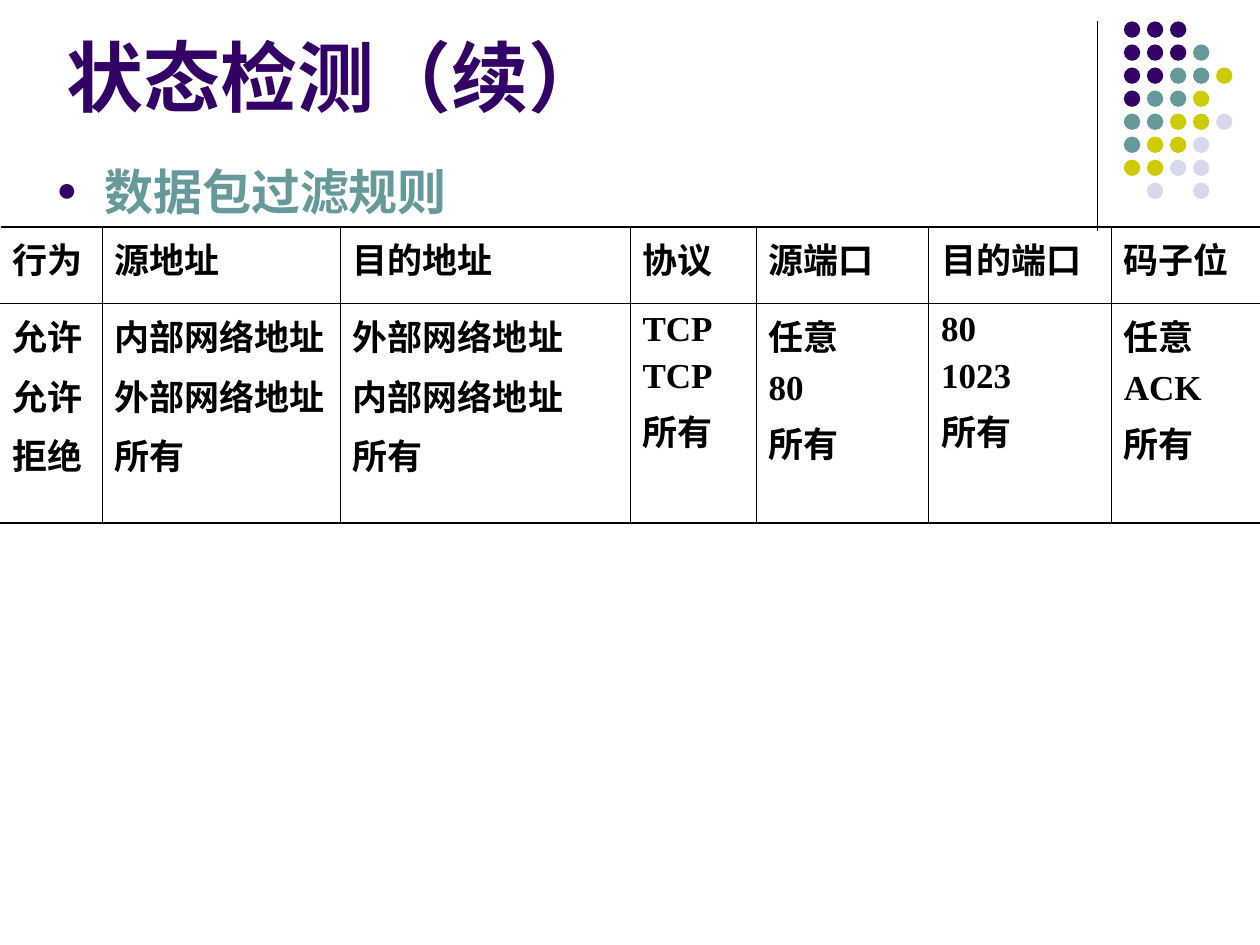
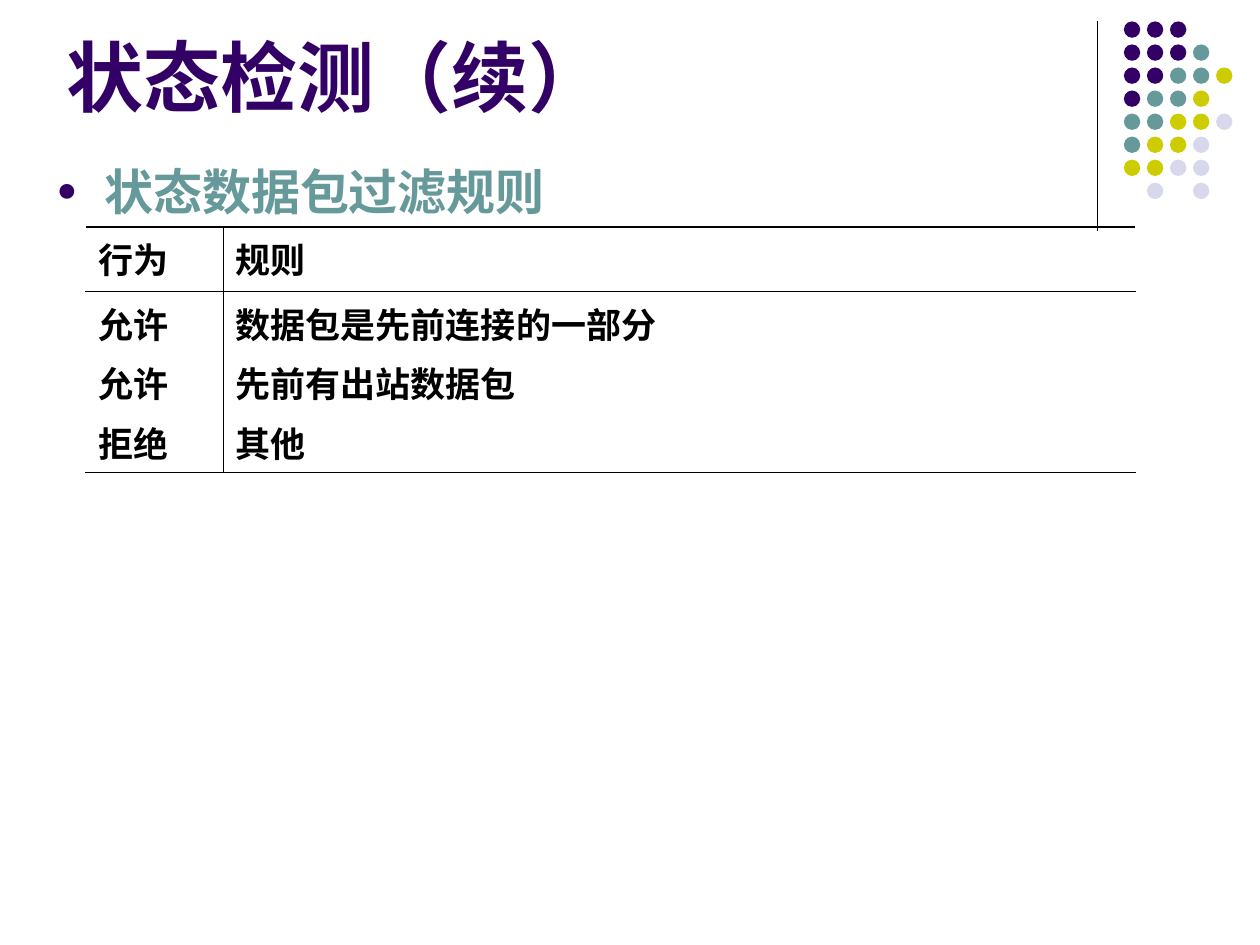
from lxml import etree
from pptx import Presentation
from pptx.dml.color import RGBColor
from pptx.enum.lang import MSO_LANGUAGE_ID
from pptx.enum.shapes import MSO_CONNECTOR, MSO_SHAPE
from pptx.enum.text import MSO_ANCHOR
from pptx.oxml.ns import qn
from pptx.util import Inches, Pt

PURPLE = RGBColor(0x33, 0x00, 0x66)
TEAL = RGBColor(0x66, 0x99, 0x99)
OLIVE = RGBColor(0xCC, 0xCC, 0x00)
LILAC = RGBColor(0xD8, 0xD8, 0xEC)
BLACK = RGBColor(0x00, 0x00, 0x00)
WHITE = RGBColor(0xFF, 0xFF, 0xFF)

SERIF = "Times New Roman"
SANS = "Arial"

DOT_COLORS = {"P": PURPLE, "T": TEAL, "O": OLIVE, "L": LILAC}
DOT_ROWS = ["PPP", "PPPT", "PPTTO", "PTTO", "TTOOL", "TOOL", "OOLL", " L L"]
DOT_PITCH = 1.28 / 7
DOT_SIZE = 0.13

THIN, THICK = 0.45, 1.08


class Deck:
    def __init__(self):
        self.prs = Presentation()
        self.prs.slide_width = Inches(10)
        self.prs.slide_height = Inches(7.5)
        self.slide = None

    def add_slide(self, title, heading, heading_font):
        self.slide = self.prs.slides.add_slide(self.prs.slide_layouts[6])
        self.rule()
        self.dots()
        self.title(title)
        self.heading(heading, heading_font)

    def rule(self):
        line = self.slide.shapes.add_connector(
            MSO_CONNECTOR.STRAIGHT, Inches(8.71), Inches(0.17), Inches(8.71), Inches(1.83))
        line.line.color.rgb = BLACK
        line.line.width = Pt(0.75)
        etree.SubElement(line._element.spPr, qn("a:effectLst"))

    def dots(self):
        group = self.slide.shapes.add_group_shape()
        for row, codes in enumerate(DOT_ROWS):
            for col, code in enumerate(codes):
                if code == " ":
                    continue
                dot = group.shapes.add_shape(
                    MSO_SHAPE.OVAL,
                    Inches(8.92 + col * DOT_PITCH), Inches(0.17 + row * DOT_PITCH),
                    Inches(DOT_SIZE), Inches(DOT_SIZE))
                dot.shadow.inherit = False
                dot.fill.solid()
                dot.fill.fore_color.rgb = DOT_COLORS[code]
                dot.line.fill.background()

    def format_runs(self, p, size, color, font):
        for r in p.runs:
            r.font.size = Pt(size)
            r.font.bold = True
            r.font.name = font
            r.font.color.rgb = color
            r.font.language_id = MSO_LANGUAGE_ID.SIMPLIFIED_CHINESE

    def text(self, text, left, top, width, height, size, color, font, anchor):
        sp = self.slide.shapes.add_textbox(
            Inches(left), Inches(top), Inches(width), Inches(height))
        tf = sp.text_frame
        tf.word_wrap = True
        tf.vertical_anchor = anchor
        tf.text = text
        p = tf.paragraphs[0]
        self.format_runs(p, size, color, font)
        return p

    def title(self, text):
        self.text(text, 0.43, 0.16, 8.25, 0.86, 44, PURPLE, SERIF, MSO_ANCHOR.BOTTOM)

    def heading(self, text, font):
        p = self.text(text, 0.35, 1.23, 4.41, 5.35, 28, TEAL, font, MSO_ANCHOR.TOP)
        pPr = p._p.get_or_add_pPr()
        pPr.set("marL", str(Inches(0.38)))
        pPr.set("indent", str(-Inches(0.38)))
        color = etree.SubElement(pPr, qn("a:buClr"))
        etree.SubElement(color, qn("a:srgbClr"), val=str(PURPLE))
        etree.SubElement(pPr, qn("a:buSzPct"), val="70000")
        etree.SubElement(pPr, qn("a:buFont"), typeface=SERIF)
        etree.SubElement(pPr, qn("a:buChar"), char="●")

    def border(self, cell, side, color, width):
        ln = etree.SubElement(cell._tc.get_or_add_tcPr(), qn(f"a:ln{side}"), w=str(Pt(width)))
        fill = etree.SubElement(ln, qn("a:solidFill"))
        etree.SubElement(fill, qn("a:srgbClr"), val=str(color))

    def table(self, left, columns, row_heights, font):
        """Draw a header row over one body row; columns holds (width, header, lines)."""
        widths = [width for width, _, _ in columns]
        table = self.slide.shapes.add_table(
            2, len(columns), Inches(left), Inches(1.8),
            Inches(sum(widths)), Inches(sum(row_heights))).table
        table.first_row = table.horz_banding = False
        for row, height in zip(table.rows, row_heights):
            row.height = Inches(height)
        last = len(columns) - 1
        for col, (width, header, lines) in enumerate(columns):
            table.columns[col].width = Inches(width)
            for row, content in enumerate([[header], lines]):
                cell = table.cell(row, col)
                self.border(cell, "L", WHITE if col == 0 else BLACK, THIN)
                self.border(cell, "R", WHITE if col == last else BLACK, THIN)
                self.border(cell, "T", BLACK, THICK if row == 0 else THIN)
                self.border(cell, "B", BLACK, THIN if row == 0 else THICK)
                cell.fill.background()
                cell.text = "\n".join(content)
                for i, p in enumerate(cell.text_frame.paragraphs):
                    if i:
                        p.space_before = Pt(5)
                    self.format_runs(p, 20, BLACK, font)


def main():
    deck = Deck()
    title = "状态检测（续）"
    actions = ["允许", "允许", "拒绝"]

    deck.add_slide(title, "数据包过滤规则", SERIF)
    packet_rules = [
        (0.81, "行为", actions),
        (1.89, "源地址", ["内部网络地址", "外部网络地址", "所有"]),
        (2.3, "目的地址", ["外部网络地址", "内部网络地址", "所有"]),
        (1, "协议", ["TCP", "TCP", "所有"]),
        (1.37, "源端口", ["任意", "80", "所有"]),
        (1.45, "目的端口", ["80", "1023", "所有"]),
        (1.18, "码子位", ["任意", "ACK", "所有"]),
    ]
    deck.table(0, packet_rules, [0.61, 1.74], SERIF)

    deck.add_slide(title, "状态数据包过滤规则", SANS)
    state_rules = [
        (1.09, "行为", actions),
        (7.24, "规则", ["数据包是先前连接的一部分", "先前有出站数据包", "其他"]),
    ]
    deck.table(0.68, state_rules, [0.51, 1.44], SANS)

    deck.prs.save("out.pptx")


if __name__ == "__main__":
    main()
